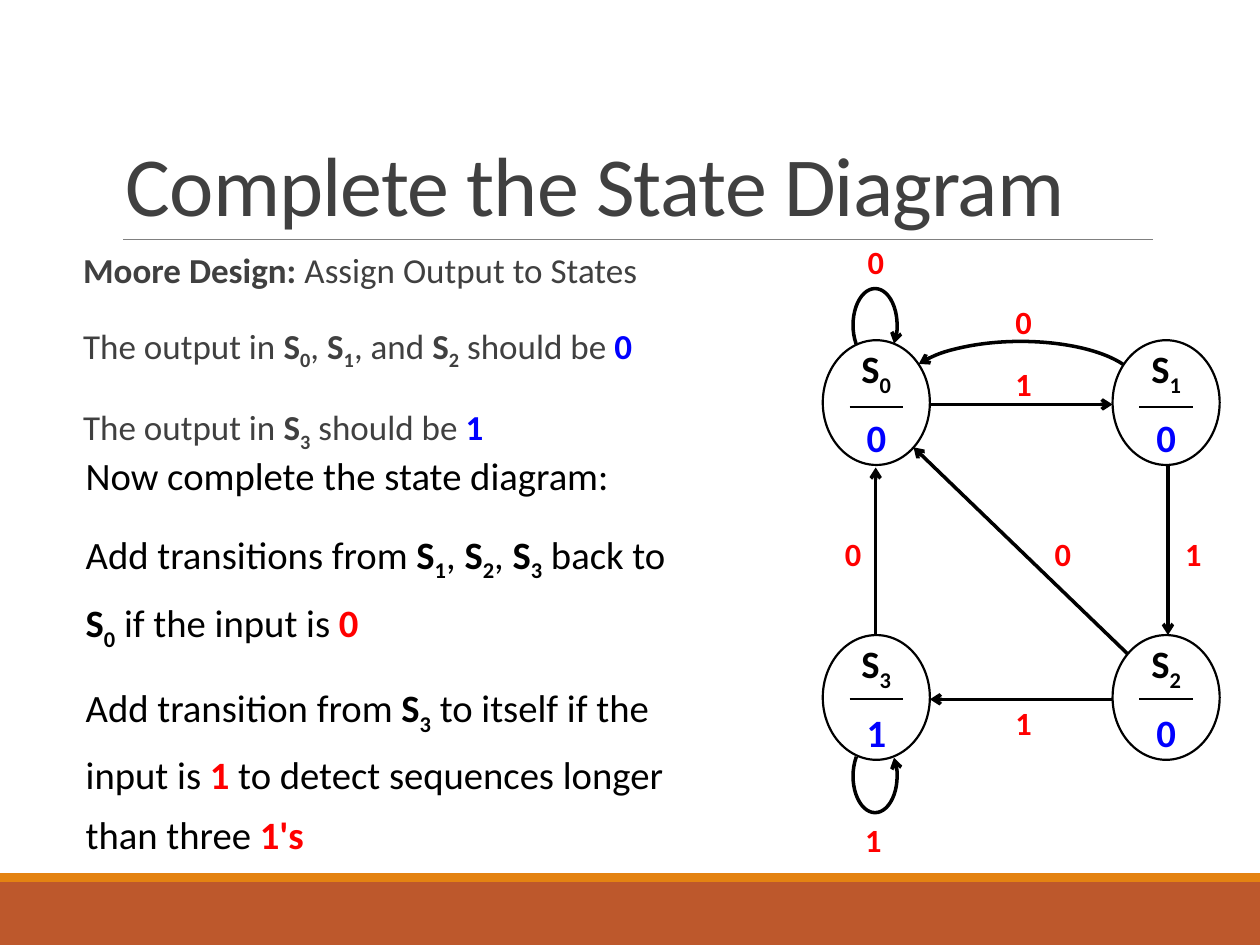
from lxml import etree
from pptx import Presentation
from pptx.dml.color import RGBColor
from pptx.enum import shapes, text
from pptx.oxml.ns import qn
from pptx.util import Inches, Pt

BLACK = RGBColor(0x00, 0x00, 0x00)
WHITE = RGBColor(0xFF, 0xFF, 0xFF)
CHARCOAL = RGBColor(0x40, 0x40, 0x40)
GRAY = RGBColor(0x80, 0x80, 0x80)
RED = RGBColor(0xFF, 0x00, 0x00)
BLUE = RGBColor(0x00, 0x00, 0xFF)
RUST = RGBColor(0xBD, 0x58, 0x2C)
ORANGE = RGBColor(0xE4, 0x83, 0x12)

SHAPE = shapes.MSO_SHAPE
CENTER = text.PP_ALIGN.CENTER
MIDDLE = text.MSO_ANCHOR.MIDDLE


def apply_format(obj, fmt):
    """Set each attribute of obj from a dict."""
    for name, value in fmt.items():
        setattr(obj, name, value)


def frame_format(left=0.0, top=0.0, **extra):
    """Return text frame values with symmetric insets."""
    return dict(margin_left=Inches(left), margin_right=Inches(left),
                margin_top=Inches(top), margin_bottom=Inches(top),
                word_wrap=True) | extra


def state(number):
    """Return the runs of a state name with its subscript."""
    return [("S", "bold"), (number, "sub")]


def write_runs(p, runs, size, color):
    """Add (text, style) runs to a paragraph."""
    styles = {"plain": (False, color), "bold": (True, color), "sub": (True, color),
              "red": (True, RED), "blue": (True, BLUE)}
    for words, style in runs:
        r = p.add_run()
        r.text = words
        bold, ink = styles[style]
        apply_format(r.font, dict(name="Calibri", size=Pt(size), bold=bold))
        r.font.color.rgb = ink
        if style == "sub":
            r.font._element.set("baseline", "-25000")


def write_paragraphs(tf, paragraphs, size, color, formats):
    """Fill a text frame, pairing each paragraph with its format."""
    for i, (runs, fmt) in enumerate(zip(paragraphs, formats)):
        p = tf.paragraphs[0] if i == 0 else tf.add_paragraph()
        apply_format(p, fmt)
        write_runs(p, runs, size, color)


def add_text(s, box, paragraphs, size, color, formats, frame):
    """Add a text box in the given box."""
    tf = s.shapes.add_textbox(*map(Inches, box)).text_frame
    apply_format(tf, frame)
    write_paragraphs(tf, paragraphs, size, color, formats)
    return tf


def add_preset(s, kind, box, fill=None, line=None):
    """Add a preset shape with an optional fill and black line width."""
    sp = s.shapes.add_shape(kind, *map(Inches, box))
    sp.shadow.inherit = False
    if fill is None:
        sp.fill.background()
    else:
        sp.fill.solid()
        sp.fill.fore_color.rgb = fill
    if line is None:
        sp.line.fill.background()
    else:
        sp.line.color.rgb = BLACK
        sp.line.width = Pt(line)
    return sp


def add_arrowhead(sp, end="tailEnd"):
    """Put an open arrowhead at one end of a line."""
    etree.SubElement(sp.line._get_or_add_ln(), qn(f"a:{end}"), type="arrow")


def add_line(s, x1, y1, x2, y2, width, color=BLACK):
    """Add a straight connector without a shadow."""
    cx = s.shapes.add_connector(shapes.MSO_CONNECTOR.STRAIGHT,
                                *map(Inches, (x1, y1, x2, y2)))
    cx.line.color.rgb = color
    cx.line.width = Pt(width)
    etree.SubElement(cx._element.spPr, qn("a:effectLst"))
    return cx


def add_arc(s, box, angles, end="tailEnd"):
    """Add a curved transition with an arrowhead."""
    sp = add_preset(s, SHAPE.ARC, box, line=2)
    for i, angle in enumerate(angles):
        sp.adjustments[i] = angle
    add_arrowhead(sp, end)
    return sp


def add_footer(s, box):
    """Add the footer band with its thin strip on top."""
    x, y, w, h = box
    strip = 0.07
    add_preset(s, SHAPE.RECTANGLE, (x, y + strip, w, h - strip), RUST)
    add_preset(s, SHAPE.RECTANGLE, (x, y, w, strip), ORANGE)


def add_title(s, box):
    """Add the title and the rule below it."""
    x, y, w, h = box
    add_line(s, x + 0.08, y + h, x + w, y + h, 0.5, GRAY)
    tf = add_text(s, box, [[("Complete the State Diagram", "plain")]], 48, CHARCOAL,
                  [dict(line_spacing=0.85)],
                  frame_format(0.1, 0.05, vertical_anchor=text.MSO_ANCHOR.BOTTOM))
    tf.paragraphs[0].runs[0].font._element.set("spc", "-50")


def add_design(s, box):
    """Add the notes on the output of each state."""
    paragraphs = [
        [("Moore Design:", "bold"), (" Assign Output to States", "plain")],
        [("The output in ", "plain"), *state("0"), (", ", "plain"), *state("1"),
         (", and ", "plain"), *state("2"), (" should be ", "plain"), ("0", "blue")],
        [("The output in ", "plain"), *state("3"), (" should be ", "plain"), ("1", "blue")],
    ]
    fmt = dict(line_spacing=1.3, space_before=Pt(9.2), space_after=Pt(2))
    add_text(s, box, paragraphs, 20, CHARCOAL, [fmt] * 3, frame_format(0, 0.05))


def add_task(s, box):
    """Add the instructions for completing the diagram."""
    paragraphs = [
        [("Now complete the state diagram:", "plain")],
        [("Add transitions from ", "plain"), *state("1"), (", ", "plain"), *state("2"),
         (", ", "plain"), *state("3"), (" back to ", "plain"), *state("0"),
         (" if the input is ", "plain"), ("0", "red")],
        [("Add transition from ", "plain"), *state("3"),
         (" to itself if the input is ", "plain"), ("1", "red"),
         (" to detect sequences longer than three ", "plain"), ("1's", "red")],
    ]
    formats = [dict(line_spacing=1.3, space_before=Pt(gap)) for gap in (27.7, 9.2, 9.2)]
    add_text(s, box, paragraphs, 22.1, BLACK, formats, frame_format(0.09, 0.05))


def add_state(s, box, number, output, rule):
    """Add a state circle with its name, output and dividing rule."""
    x, y, w, h = box
    sp = add_preset(s, SHAPE.OVAL, box, WHITE, 1.25)
    apply_format(sp.text_frame, frame_format(vertical_anchor=MIDDLE))
    formats = [dict(alignment=CENTER, space_after=Pt(9.2)), dict(alignment=CENTER)]
    write_paragraphs(sp.text_frame, [state(number), [(output, "blue")]],
                     22.1, BLACK, formats)
    add_line(s, x + w / 4, y + rule, x + w * 3 / 4, y + rule, 1)


def add_diagram(s, box):
    """Add the state diagram: transitions, states and input labels."""
    x, y, w, h = box
    add_arc(s, (x + 0.63, y + 0.86, 1.88, 0.73), (115.8, 209.3), "headEnd")
    for top in (0.44, 4.02):
        loop = add_arc(s, (x + 0.24, y + top, 0.35, 0.58), (80.3, 26.56))
    loop._element.spPr.find(qn("a:xfrm")).set("flipV", "1")

    for x1, y1, x2, y2 in ((0.42, 3.56, 0.42, 1.86), (2.42, 3.34, 0.72, 1.7),
                           (2.69, 3.7, 0.85, 3.7), (2.74, 1.49, 2.74, 3.19),
                           (0.46, 1.36, 2.3, 1.36)):
        add_arrowhead(add_line(s, x + x1, y + y1, x + x2, y + y2, 2))

    size = (0.85, 0.99)
    right = w - size[0]
    for number, output, left, top, rule in (("0", "0", 0, 0.85, 0.53),
                                            ("1", "0", right, 0.85, 0.53),
                                            ("2", "0", right, 3.19, 0.51),
                                            ("3", "1", 0, 3.19, 0.51)):
        add_state(s, (x + left, y + top, *size), number, output, rule)

    for label, left, top, width, height in (
            ("0", 1.38, 0.55, 0.43, 0.31), ("0", 0.1, 2.32, 0.28, 0.45),
            ("0", 1.73, 2.32, 0.35, 0.45), ("1", 1.38, 1.04, 0.43, 0.31),
            ("1", 2.8, 2.32, 0.28, 0.45), ("1", 1.38, 3.74, 0.43, 0.29),
            ("0", 0.28, 0, 0.28, 0.45), ("1", 0.26, 4.59, 0.28, 0.45)):
        add_text(s, (x + left, y + top, width, height), [[(label, "red")]], 18.5, RED,
                 [dict(alignment=CENTER)],
                 frame_format(word_wrap=False, vertical_anchor=MIDDLE))


def main():
    """Build the slide and save it."""
    prs = Presentation()
    apply_format(prs, dict(slide_width=Inches(10), slide_height=Inches(7.5)))
    s = prs.slides.add_slide(prs.slide_layouts[6])
    add_footer(s, (0, 6.93, 10, 0.57))
    add_title(s, (0.9, 0.31, 8.25, 1.59))
    add_design(s, (0.66, 1.82, 4.66, 1.88))
    add_diagram(s, (6.53, 1.85, 3.15, 5.04))
    add_task(s, (0.59, 3.43, 4.91, 3.36))
    prs.save("out.pptx")


if __name__ == "__main__":
    main()
